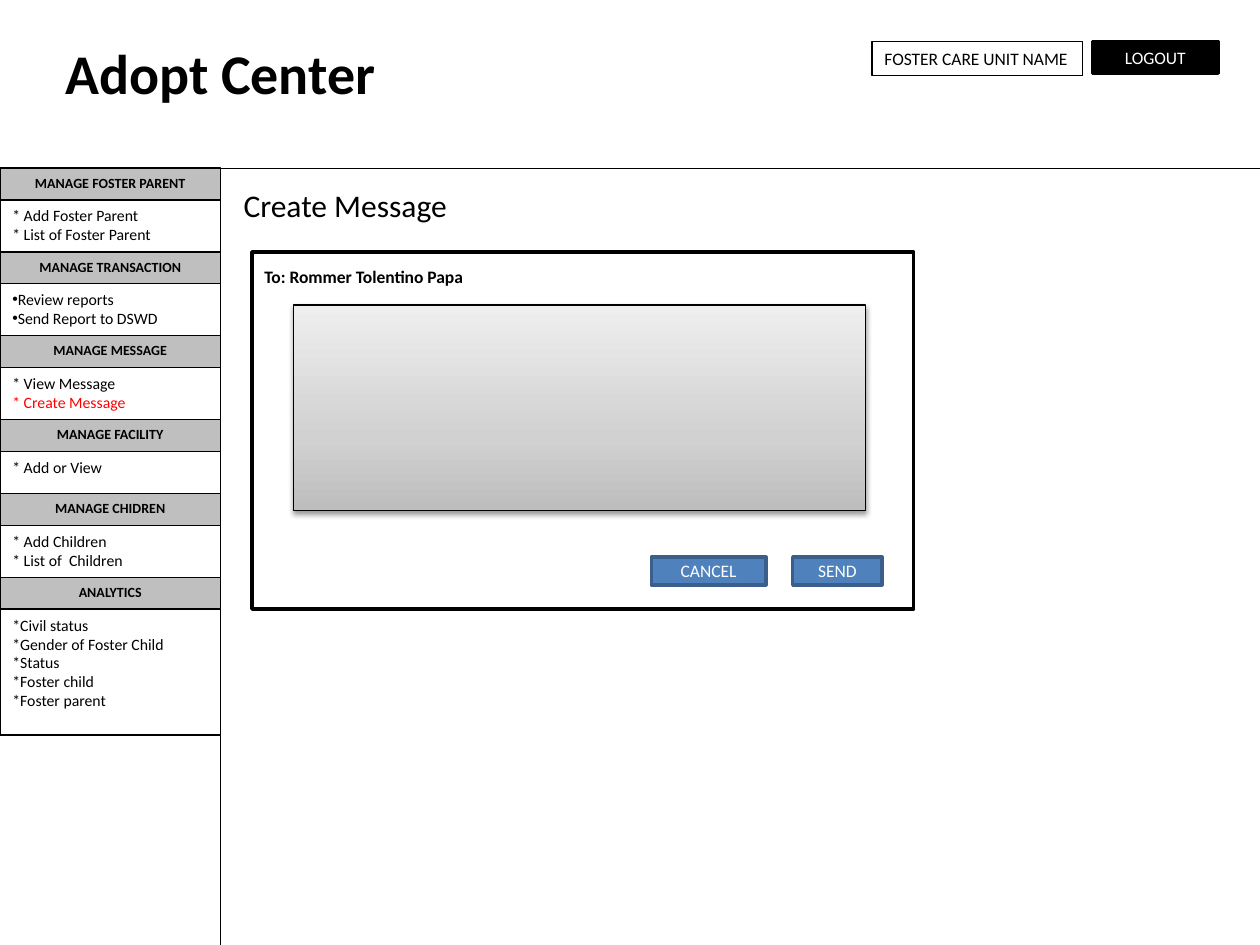
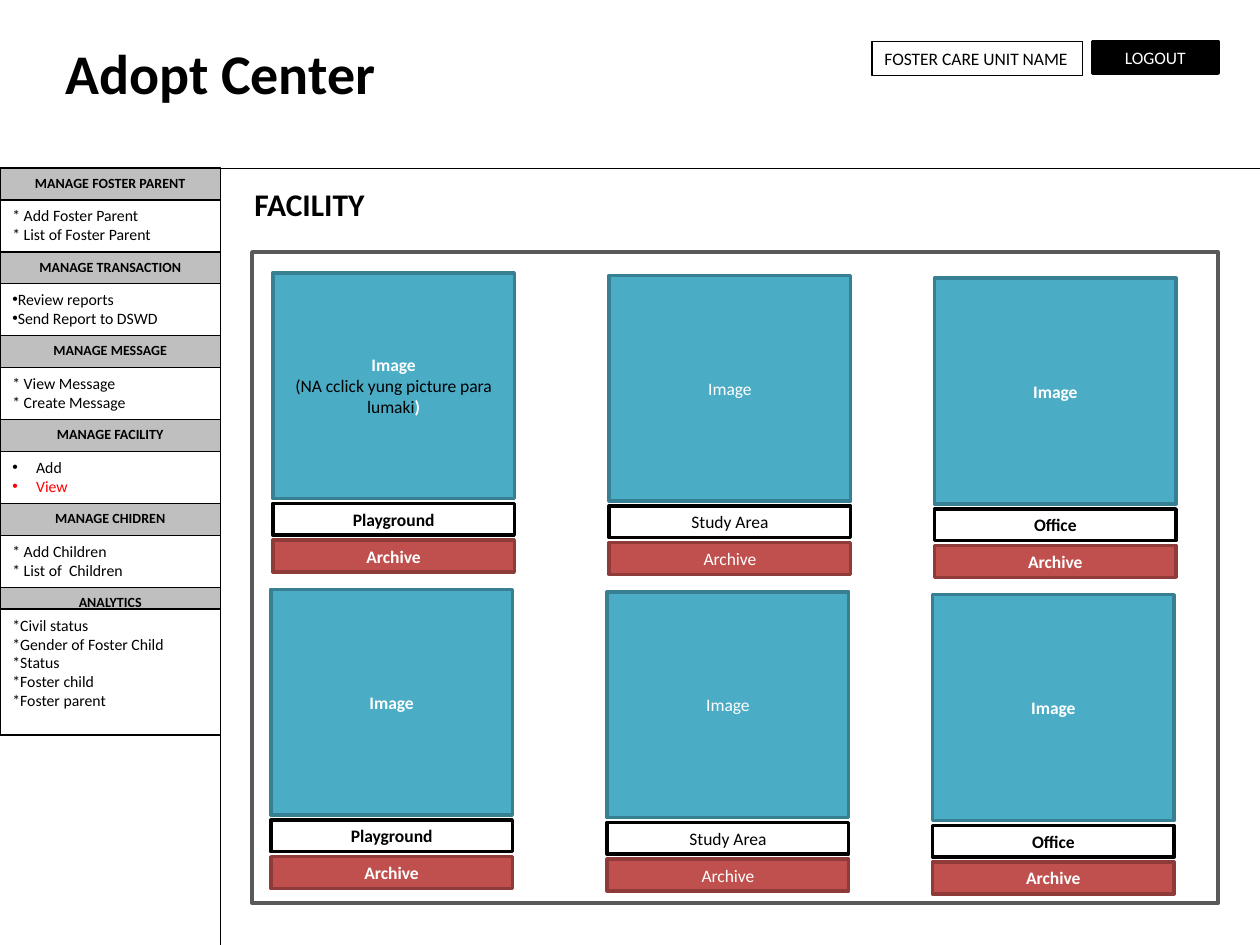
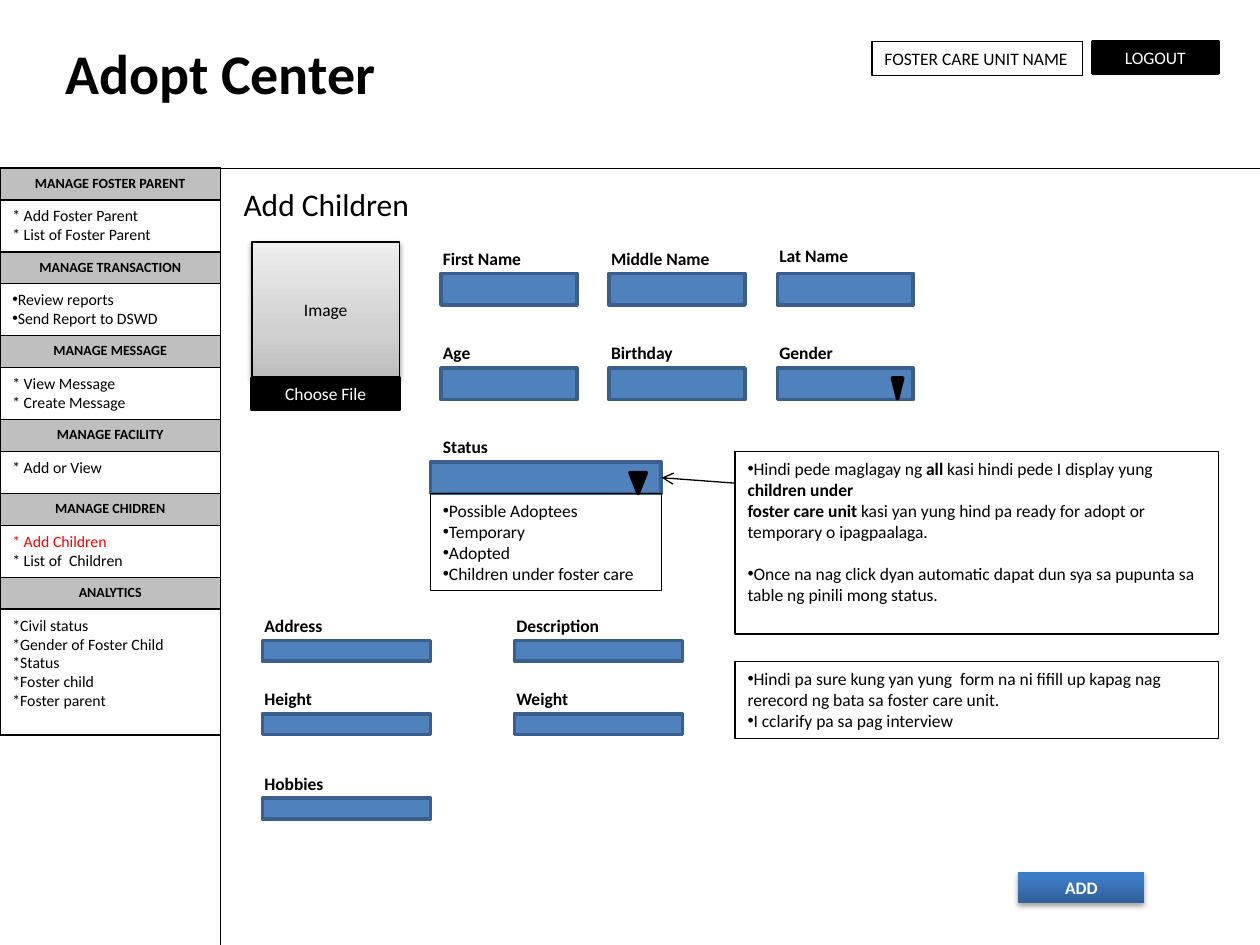
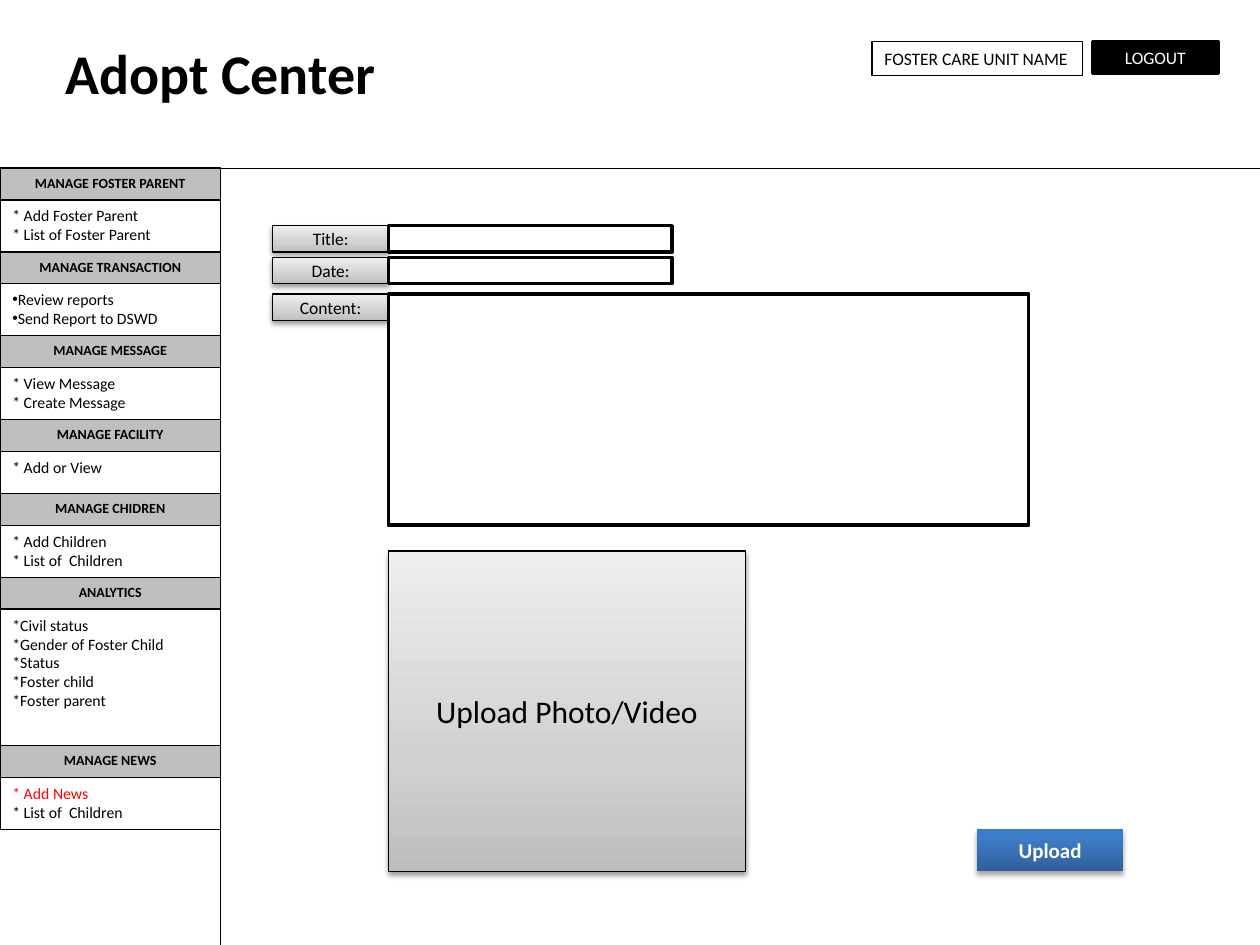
import pptx
import pptx.util
import pptx.dml.color
import pptx.enum.shapes
import pptx.enum.text
import pptx.oxml.ns
from lxml import etree

Cm = pptx.util.Cm
Pt = pptx.util.Pt
qn = pptx.oxml.ns.qn
SHAPES = pptx.enum.shapes.MSO_SHAPE
ALIGN = pptx.enum.text.PP_ALIGN
ANCHOR = pptx.enum.text.MSO_ANCHOR

COLOURS = {
    "black": "000000", "white": "FFFFFF", "red": "FF0000",
    "band": "BFBFBF", "frame": "595959",
    "blue": "4F81BD", "blue edge": "3A5F8C",
    "teal": "4BACC6", "teal edge": "377F92",
    "brick": "C0504D", "brick edge": "8E3B39",
}
# Gradient stops run from bottom to top; shadow is (opacity %, distance in points).
GREY_GLOSS = {"stops": [(0, "BDBDBD"), (35, "D1D1D1"), (100, "EEEEEE")], "shadow": (38, 1.6)}
BLUE_GLOSS = {"stops": [(0, "2F5F99"), (80, "3D7CC7"), (100, "3A7CCB")], "shadow": (35, 1.8)}

SIDEBAR_WIDTH, HEADER_BOTTOM = 4.45, 3.39
BAND_HEIGHT, PAIR_HEIGHT, SINGLE_HEIGHT = 0.64, 1.05, 0.85
ANALYTICS_TOP = 12.28


def colour(name):
    """Return the named colour as an RGB value."""
    return pptx.dml.color.RGBColor.from_string(COLOURS[name])


def add_xml(parent, tag, **attributes):
    """Append a DrawingML element with the given attributes."""
    return etree.SubElement(parent, qn(tag), {key: str(value) for key, value in attributes.items()})


class Mockup:
    """Holds the deck, the shared style and the current slide."""

    font = "Calibri"

    def __init__(self):
        """Start a deck of 10 by 7.5 inch slides."""
        self.deck = pptx.Presentation()
        self.deck.slide_width, self.deck.slide_height = Cm(25.4), Cm(19.05)
        self.page = None

    def start(self, active="", facility=("* Add or View",), news=False):
        """Add a slide with the site title, account buttons, rules and menu."""
        self.page = self.deck.slides.add_slide(self.deck.slide_layouts[5])
        title = self.page.shapes.title
        title.left, title.top, title.width, title.height = Cm(1.06), Cm(0.64), Cm(11.23), Cm(1.63)
        self.set_text(title, "Adopt Center", size=32, bold=True)
        self.line((SIDEBAR_WIDTH, HEADER_BOTTOM), (SIDEBAR_WIDTH, 19.05))
        self.line((0, HEADER_BOTTOM), (25.4, HEADER_BOTTOM))
        self.button("LOGOUT", (22.02, 0.84, 2.54, 0.64), "black", "black")
        self.note("FOSTER CARE UNIT NAME", (17.58, 0.84, 4.24, 0.69))
        self.menu(active, facility, news)

    def set_text(self, shape, text, size=10, ink="black", bold=False, centred=False,
                 middle=False, wrap=True, indent=0):
        """Fill a shape with lines; '•' opens a bullet and '|' toggles bold."""
        frame = shape.text_frame
        frame.word_wrap = wrap
        frame.auto_size = pptx.enum.text.MSO_AUTO_SIZE.NONE
        frame.vertical_anchor = ANCHOR.MIDDLE if middle else ANCHOR.TOP
        frame.text = text
        for para in frame.paragraphs:
            para.alignment = ALIGN.CENTER if centred else ALIGN.LEFT
            content = para.text
            if content.startswith("•"):
                content = content[1:]
                self.bullet(para, indent)
            pieces = content.split("|")
            para.text = pieces[0]
            for piece in pieces[1:]:
                para.add_run().text = piece
            for span in para.runs:
                toggled = pieces.index(span.text) % 2 == 1
                span.font.name, span.font.size = self.font, Pt(size)
                span.font.bold = bold or toggled
                span.font.color.rgb = colour(ink)

    def bullet(self, para, indent):
        """Give a paragraph a round bullet with a hanging indent in cm."""
        properties = para._p.get_or_add_pPr()
        properties.set("marL", str(Cm(indent)))
        properties.set("indent", str(-Cm(indent)))
        add_xml(properties, "a:buFont", typeface="Arial")
        add_xml(properties, "a:buChar", char="•")

    def box(self, at, fill=None, edge=None, weight=2, text="", kind=SHAPES.RECTANGLE, **style):
        """Draw a preset shape, with text if there is any."""
        box = self.page.shapes.add_shape(kind, *map(Cm, at))
        box.shadow.inherit = False
        if fill:
            box.fill.solid()
            box.fill.fore_color.rgb = colour(fill)
        else:
            box.fill.background()
        if edge:
            box.line.color.rgb = colour(edge)
            box.line.width = Pt(weight)
        else:
            box.line.fill.background()
        if text:
            self.set_text(box, text, **style)
        return box

    def button(self, text, at, fill, edge, ink="white", bold=False):
        """Draw a flat box with a thick edge and centred text."""
        return self.box(at, fill, edge, text=text, ink=ink, bold=bold, centred=True, middle=True)

    def glossy(self, text, at, gloss, edge=None, **style):
        """Draw a box with a vertical gradient and a soft shadow."""
        box = self.box(at, edge=edge, weight=0.75, text=text, centred=True, middle=True, **style)
        properties = box.element.spPr
        gradient = etree.Element(qn("a:gradFill"), rotWithShape="1")
        stops = add_xml(gradient, "a:gsLst")
        for position, value in gloss["stops"]:
            add_xml(add_xml(stops, "a:gs", pos=position * 1000), "a:srgbClr", val=value)
        add_xml(gradient, "a:lin", ang=16200000, scaled=0)
        properties.replace(properties.find(qn("a:noFill")), gradient)
        opacity, distance = gloss["shadow"]
        shadow = add_xml(properties.find(qn("a:effectLst")), "a:outerShdw", blurRad=Pt(3.1),
                         dist=Pt(distance), dir=5400000, rotWithShape=0)
        shade = add_xml(shadow, "a:srgbClr", val=COLOURS["black"])
        add_xml(shade, "a:alpha", val=opacity * 1000)
        return box

    def note(self, text, at):
        """Draw a thin outlined box of left-aligned text."""
        return self.box(at, edge="black", weight=0.75, text=text)

    def label(self, text, at, **style):
        """Place plain text."""
        label = self.page.shapes.add_textbox(*map(Cm, at))
        self.set_text(label, text, **style)
        return label

    def field(self, text, text_width, at, outdent=0.21):
        """Draw a blue input with a bold label above it; return the label."""
        left, top = at[:2]
        self.box(at, "blue", "blue edge")
        return self.label(text, (left - outdent, top - 0.64, text_width, 0.69),
                          bold=True, wrap=False)

    def dropdown_mark(self, at):
        """Draw the black triangle of a drop-down list."""
        self.box(at, "black", "black", kind=SHAPES.FLOWCHART_MERGE)

    def line(self, start, end, arrow=False):
        """Draw a thin straight line, with an optional arrowhead at its end."""
        line = self.page.shapes.add_connector(
            pptx.enum.shapes.MSO_CONNECTOR.STRAIGHT, *map(Cm, (*start, *end)))
        line.line.color.rgb = colour("black")
        line.line.width = Pt(0.75)
        properties = line.element.spPr
        if arrow:
            add_xml(properties.find(qn("a:ln")), "a:tailEnd", type="arrow")
        add_xml(properties, "a:effectLst")

    def menu(self, active, facility, news):
        """Stack the menu sections, with the active item in red."""
        sections = [
            ("MANAGE FOSTER PARENT", ("* Add Foster Parent", "* List of Foster Parent")),
            ("MANAGE TRANSACTION", ("•Review reports", "•Send Report to DSWD")),
            ("MANAGE MESSAGE", ("* View Message", "* Create Message")),
            ("MANAGE FACILITY", facility),
            ("MANAGE CHIDREN", ("* Add Children", "* List of  Children")),
        ]
        top = HEADER_BOTTOM
        for heading, items in sections:
            height = PAIR_HEIGHT if len(items) == 2 else SINGLE_HEIGHT
            self.menu_band(heading, top)
            self.menu_items(items, top + BAND_HEIGHT, height, active)
            top += BAND_HEIGHT + height
        self.menu_band("ANALYTICS", top)
        analytics = ("*Civil status", "*Gender of Foster Child", "*Status",
                     "*Foster child", "*Foster parent")
        height = 2.75 if news else 2.54
        self.menu_items(analytics, ANALYTICS_TOP, height, active)
        if news:
            top = ANALYTICS_TOP + height
            self.menu_band("MANAGE NEWS", top)
            self.menu_items(("* Add News", "* List of  Children"), top + BAND_HEIGHT,
                            PAIR_HEIGHT, active)

    def menu_band(self, heading, top):
        """Draw the grey heading of a menu section."""
        self.box((0, top, SIDEBAR_WIDTH, BAND_HEIGHT), "band", "black", 0.75, heading,
                 size=8, bold=True, centred=True)

    def menu_items(self, items, top, height, active):
        """Draw the items of a menu section."""
        indent = 0.48 if items[0] == "•Add" else 0
        box = self.box((0, top, SIDEBAR_WIDTH, height), "white", "black", 0.75,
                       "\n".join(items), size=9, indent=indent)
        for item, para in zip(items, box.text_frame.paragraphs):
            if item == active:
                para.runs[0].font.color.rgb = colour("red")

    def tile(self, left, top, name, bold):
        """Draw a facility: image area, name and archive button."""
        width = 4.87
        image = self.button("Image", (left, top, width, 4.55), "teal", "teal edge", bold=bold)
        self.button(name, (left, top + 4.65, width, 0.64), "white", "black", "black", bold)
        self.button("Archive", (left, top + 5.39, width, 0.64), "brick", "brick edge", bold=bold)
        return image


def message_page(mockup):
    """Build the form for a new message."""
    mockup.start(active="* Create Message")
    mockup.box((4.66, 3.63, 5.08, 1.02), "white", "white", text="Create Message", size=18)
    mockup.box((5.08, 5.08, 13.34, 7.2), "white", "black")
    mockup.label("To: Rommer Tolentino Papa", (5.08, 5.23, 6.65, 0.69), bold=True)
    mockup.glossy("", (5.92, 6.15, 11.53, 4.14), GREY_GLOSS, "black")
    mockup.button("CANCEL", (13.13, 11.23, 2.31, 0.56), "blue", "blue edge")
    mockup.button("SEND", (15.98, 11.23, 1.8, 0.56), "blue", "blue edge")


def facility_page(mockup):
    """Build the gallery of facilities, two rows of three."""
    mockup.start(active="•View", facility=("•Add", "•View"))
    mockup.label("FACILITY", (4.88, 3.61, 8.26, 1.02), size=18, bold=True)
    mockup.box((5.08, 5.08, 19.48, 13.13), "white", "frame")
    columns = [(5.5, 5.5, "Playground", True), (12.28, 5.55, "Study Area", False),
               (18.84, 5.61, "Office", True)]
    tiles = [mockup.tile(left + across, top + down, name, bold)
             for across, down in [(0, 0), (-0.04, 6.38)]
             for left, top, name, bold in columns]
    mockup.set_text(tiles[0], "|Image\n(NA cclick yung picture para lumaki|)",
                    ink="white", centred=True, middle=True)
    hint = tiles[0].text_frame.paragraphs[1].runs[0]
    hint.font.color.rgb = colour("black")


def children_page(mockup):
    """Build the form that records a child."""
    mockup.start(active="* Add Children")
    mockup.label("Add Children", (4.66, 3.61, 5.51, 1.02), size=18)
    mockup.glossy("Image", (5.08, 4.88, 2.97, 2.74), GREY_GLOSS, "black")
    mockup.button("Choose File", (5.08, 7.62, 2.97, 0.64), "black", "black")

    personal = [
        [("First Name", 2.11), ("Middle Name", 2.51), ("Lat Name", 1.93)],
        [("Age", 1.07), ("Birthday", 1.78), ("Gender", 1.6)],
    ]
    for row, fields in enumerate(personal):
        for column, (name, width) in enumerate(fields):
            label = mockup.field(name, width,
                                 (8.89 + 3.39 * column, 5.51 + 1.91 * row, 2.74, 0.64))
            if name == "Lat Name":
                label.top -= Cm(0.05)
    mockup.dropdown_mark((17.99, 7.62, 0.21, 0.42))

    mockup.field("Status", 1.45, (8.68, 9.31, 4.65, 0.64), outdent=0)
    mockup.dropdown_mark((12.7, 9.53, 0.33, 0.42))
    mockup.note("•Possible Adoptees\n•Temporary\n•Adopted\n•Children under foster care",
                (8.68, 9.95, 4.65, 1.96))
    rules = mockup.note(
        "•Hindi pede maglagay ng |all |kasi hindi pede I display yung |children under \n"
        "|foster care unit |kasi yan yung hind pa ready for adopt or temporary o ipagpaalaga.\n"
        "•Once na nag click dyan automatic dapat dun sya sa pupunta sa table ng pinili "
        "mong status.", (14.82, 9.1, 9.74, 3.68))
    rules.text_frame.paragraphs[1].space_after = Pt(12)
    mockup.line((14.82, 9.74), (13.34, 9.63), arrow=True)

    details = [("Address", 1.7, 5.29, 12.91), ("Description", 2.21, 10.37, 12.91),
               ("Height", 1.5, 5.29, 14.39), ("Weight", 1.6, 10.37, 14.39),
               ("Hobbies", 1.73, 5.29, 16.09)]
    for name, width, left, top in details:
        mockup.field(name, width, (left, top, 3.39, 0.42))
    mockup.note("•Hindi pa sure kung yan yung  form na ni fifill up kapag nag rerecord ng bata "
                "sa foster care unit.\n•I cclarify pa sa pag interview",
                (14.82, 13.34, 9.74, 1.55))
    mockup.glossy("ADD", (20.53, 17.57, 2.54, 0.64), BLUE_GLOSS, ink="white", bold=True)


def news_page(mockup):
    """Build the form for a news item."""
    mockup.start(active="* Add News", news=True)
    rows = [("Title:", 4.55, 5.72, 0.53), ("Date:", 5.19, 5.72, 0.53),
            ("Content:", 5.93, 12.91, 4.66)]
    for name, top, width, height in rows:
        mockup.glossy(name, (5.5, top, 2.33, 0.53), GREY_GLOSS, "black")
        mockup.box((7.83, top, width, height), "white", "black")
    mockup.glossy("Upload Photo/Video", (7.83, 11.11, 7.2, 6.46), GREY_GLOSS, "black", size=18)
    mockup.glossy("Upload", (19.69, 16.72, 2.96, 0.85), BLUE_GLOSS,
                  ink="white", size=12, bold=True)


mockup = Mockup()
for build in (message_page, facility_page, children_page, news_page):
    build(mockup)
mockup.deck.save("out.pptx")
